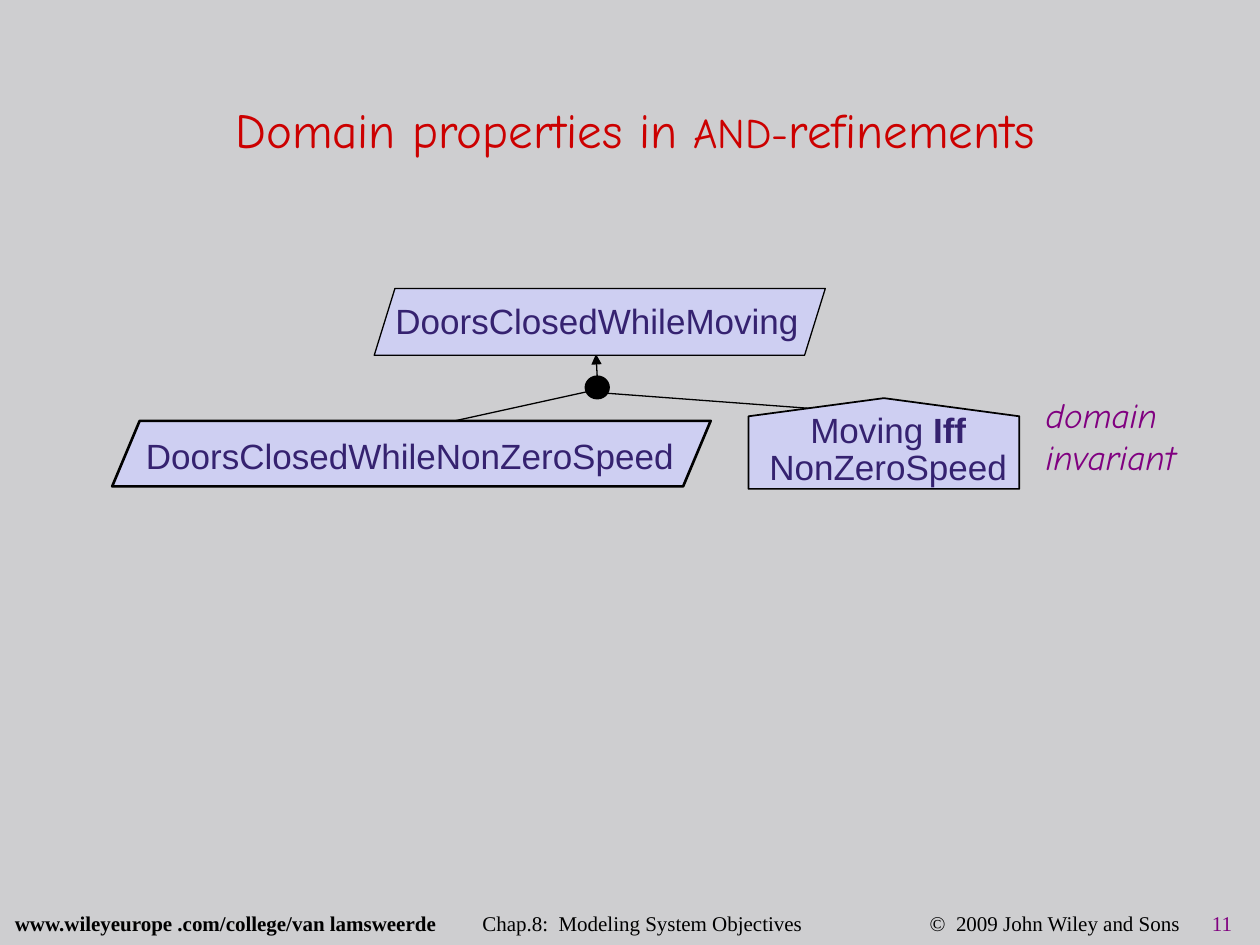
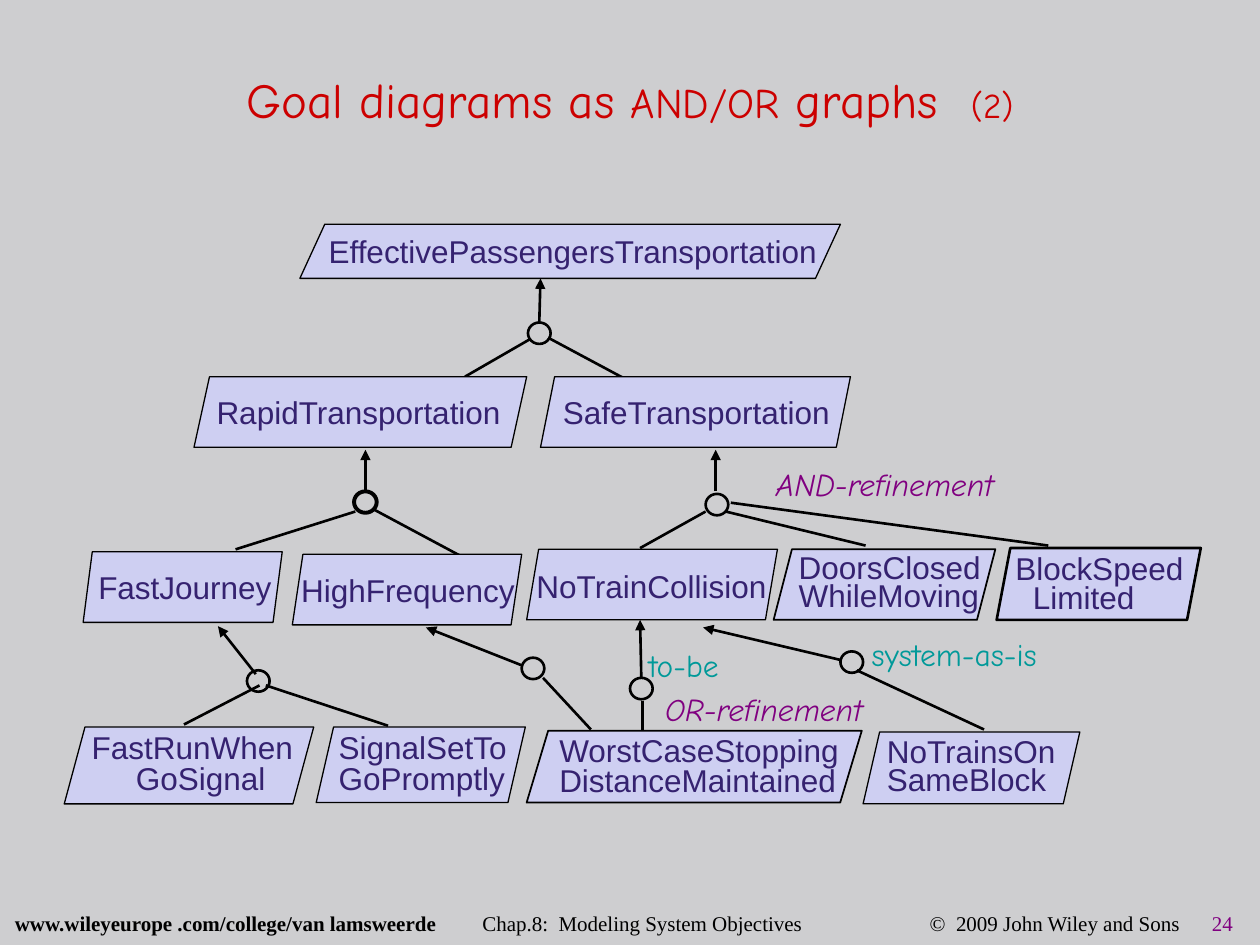
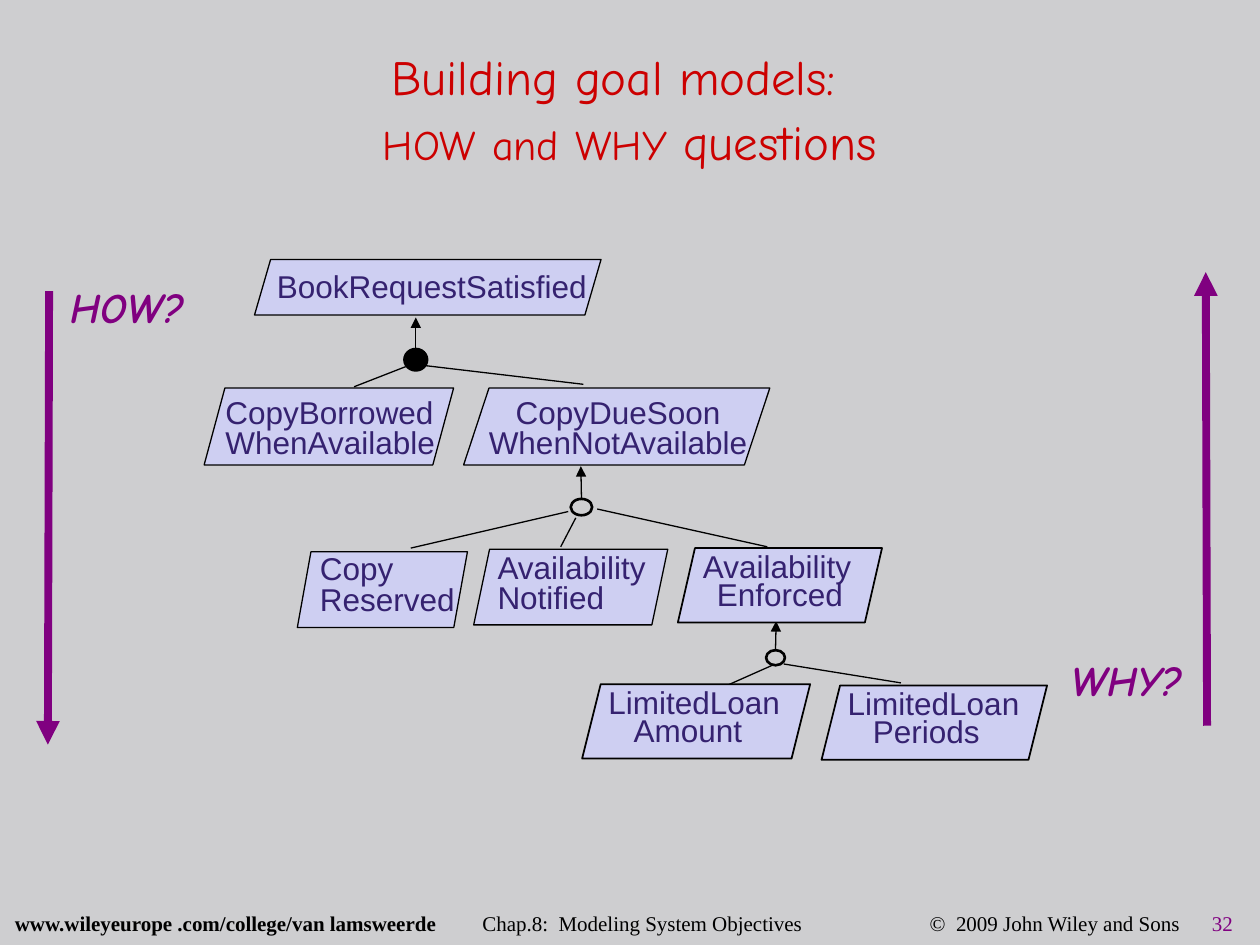
from dataclasses import dataclass
from typing import NamedTuple, Optional, Sequence, Union

from lxml.etree import SubElement
from pptx import Presentation
from pptx.dml.color import RGBColor
from pptx.enum.shapes import MSO_CONNECTOR, MSO_SHAPE
from pptx.enum.text import MSO_ANCHOR, MSO_AUTO_SIZE, PP_ALIGN
from pptx.oxml.ns import qn
from pptx.util import Pt

EMU_PER_PX = 9144  # 100 px to the inch


def px(length: int) -> int:
    return length * EMU_PER_PX


@dataclass(frozen=True)
class Theme:
    background: str = "CECED0"
    ink: str = "000000"
    title: str = "CC0000"
    goal_fill: str = "CECFF2"
    goal_text: str = "352270"
    accent: str = "800080"
    system: str = "009999"
    title_font: str = "Comic Neue"
    goal_font: str = "Arial"
    footer_font: str = "Times New Roman"
    title_size: int = 28
    small_title_size: int = 24
    tiny_title_size: int = 20
    large_size: int = 20
    goal_size: int = 18
    question_size: int = 24
    footer_size: int = 12


THEME = Theme()


class Point(NamedTuple):
    x: int
    y: int


class Box(NamedTuple):
    left: int
    top: int
    width: int
    height: int

    def emu(self) -> list[int]:
        return [px(length) for length in self]


class Run(NamedTuple):
    text: str
    size: Optional[int] = None
    bold: Optional[bool] = None
    color: Optional[str] = None


@dataclass(frozen=True)
class Line:
    """One paragraph; what is left as None follows the whole text."""
    runs: Union[str, Sequence[Run]]
    spacing: Optional[float] = None
    align: Optional[PP_ALIGN] = None
    indent: int = 0
    tabs: Sequence[int] = ()


Lines = Sequence[Union[str, Line]]


@dataclass(frozen=True)
class Goal:
    box: Box
    slant: float
    label: Box
    lines: Lines
    spacing: float = 1.0
    border: float = 0.75
    align: PP_ALIGN = PP_ALIGN.LEFT
    side_inset: int = 10
    size: int = THEME.goal_size
    domain_property: bool = False


@dataclass(frozen=True)
class Refinement:
    """A circle with an arrow to the parent goal and lines to the subgoals."""
    circle: Box
    parent: Point
    branches: Sequence[tuple[Point, Point]]
    arrow_start: Optional[Point] = None  # None: top of the circle
    complete: bool = False
    border: float = 1.5


@dataclass(frozen=True)
class Note:
    box: Box
    lines: Lines
    color: str = THEME.accent
    size: int = THEME.goal_size
    bold: bool = False
    italic: bool = True
    align: PP_ALIGN = PP_ALIGN.LEFT
    spacing: float = 1.0


class Direction(NamedTuple):
    start: Point
    end: Point


@dataclass(frozen=True)
class Page:
    number: int
    title_box: Box
    title: Line
    goals: Sequence[Goal]
    refinements: Sequence[Refinement]
    notes: Sequence[Note]
    line_width: float
    directions: Sequence[Direction] = ()


def write(frame, lines: Lines, *, font: str, size: int, color: str,
          bold: bool = False, italic: bool = False,
          align: PP_ALIGN = PP_ALIGN.LEFT, spacing: float = 1.0) -> None:
    frame.word_wrap = True
    for index, entry in enumerate(lines):
        line = entry if isinstance(entry, Line) else Line(entry)
        paragraph = frame.paragraphs[0] if index == 0 else frame.add_paragraph()
        paragraph.alignment = line.align or align
        paragraph.line_spacing = line.spacing or spacing
        properties = paragraph._p.get_or_add_pPr()
        if line.indent:
            properties.set("marL", str(px(line.indent)))
        if line.tabs:
            stops = SubElement(properties, qn("a:tabLst"))
            for stop in line.tabs:
                SubElement(stops, qn("a:tab"), pos=str(px(stop)), algn="l")
        runs = [Run(line.runs)] if isinstance(line.runs, str) else line.runs
        for part in runs:
            if part.text == "\n":
                paragraph.add_line_break()
                continue
            run = paragraph.add_run()
            run.text = part.text
            run.font.name = font
            run.font.size = Pt(part.size or size)
            run.font.bold = bold if part.bold is None else part.bold
            run.font.italic = italic
            run.font.color.rgb = RGBColor.from_string(part.color or color)


def add_text(slide, box: Box, lines: Lines, *, side_inset: int = 10, **style) -> None:
    frame = slide.shapes.add_textbox(*box.emu()).text_frame
    frame.margin_left = frame.margin_right = px(side_inset)
    frame.margin_top = frame.margin_bottom = px(5)
    write(frame, lines, **style)


def add_outlined(slide, preset: MSO_SHAPE, box: Box, fill: Optional[str], border: float):
    shape = slide.shapes.add_shape(preset, *box.emu())
    shape.shadow.inherit = False
    if fill:
        shape.fill.solid()
        shape.fill.fore_color.rgb = RGBColor.from_string(fill)
    else:
        shape.fill.background()
    shape.line.color.rgb = RGBColor.from_string(THEME.ink)
    shape.line.width = Pt(border)
    return shape


def add_line(slide, start: Point, end: Point, *, width: float,
             color: str = THEME.ink, arrow: bool = False):
    connector = slide.shapes.add_connector(
        MSO_CONNECTOR.STRAIGHT, *map(px, start), *map(px, end))
    connector.line.color.rgb = RGBColor.from_string(color)
    connector.line.width = Pt(width)
    if arrow:
        SubElement(connector.line._get_or_add_ln(), qn("a:tailEnd"), type="triangle")
    SubElement(connector._element.spPr, qn("a:effectLst"))
    return connector


def add_refinement(slide, refinement: Refinement, line_width: float) -> None:
    box = refinement.circle
    circle = add_outlined(slide, MSO_SHAPE.OVAL, box,
                          THEME.ink if refinement.complete else None, refinement.border)
    start = refinement.arrow_start or Point(box.left + box.width // 2, box.top)
    arrow = add_line(slide, start, refinement.parent, width=line_width, arrow=True)
    if refinement.arrow_start is None:
        arrow.begin_connect(circle, 0)
    for near, far in refinement.branches:
        add_line(slide, near, far, width=line_width)


def add_goal(slide, goal: Goal) -> None:
    preset = (MSO_SHAPE.FLOWCHART_OFFPAGE_CONNECTOR if goal.domain_property
              else MSO_SHAPE.PARALLELOGRAM)
    shape = add_outlined(slide, preset, goal.box, THEME.goal_fill, goal.border)
    if goal.domain_property:
        shape.rotation = 180
    else:
        shape.adjustments[0] = goal.slant
    add_text(slide, goal.label, goal.lines, side_inset=goal.side_inset,
             font=THEME.goal_font, size=goal.size, color=THEME.goal_text,
             align=goal.align, spacing=goal.spacing)


def add_title(slide, box: Box, title: Line) -> None:
    holder = slide.shapes.title
    holder.left, holder.top, holder.width, holder.height = box.emu()
    frame = holder.text_frame
    frame.auto_size = MSO_AUTO_SIZE.NONE
    frame.vertical_anchor = MSO_ANCHOR.MIDDLE
    write(frame, [title], font=THEME.title_font, size=THEME.title_size,
          color=THEME.title, align=PP_ALIGN.CENTER)


def add_footer(slide, number: int) -> None:
    footer = Line([
        Run("www.wileyeurope .com/college/van lamsweerde", bold=True),
        Run("\tChap.8:  Modeling System Objectives\t©  2009 John Wiley and Sons\t"),
        Run(str(number), color=THEME.accent),
    ], tabs=(371, 726, 950))
    add_text(slide, Box(2, 723, 997, 24), [footer], font=THEME.footer_font,
             size=THEME.footer_size, color=THEME.ink, spacing=0.7)


def add_page(deck, page: Page) -> None:
    slide = deck.slides.add_slide(deck.slide_layouts[5])
    add_footer(slide, page.number)
    add_title(slide, page.title_box, page.title)
    for refinement in page.refinements:
        add_refinement(slide, refinement, page.line_width)
    for goal in page.goals:
        add_goal(slide, goal)
    for direction in page.directions:
        add_line(slide, *direction, width=4.5, color=THEME.accent, arrow=True)
    for note in page.notes:
        add_text(slide, note.box, note.lines, font=THEME.title_font, size=note.size,
                 color=note.color, bold=note.bold, italic=note.italic,
                 align=note.align, spacing=note.spacing)


def branch(x1: int, y1: int, x2: int, y2: int) -> tuple[Point, Point]:
    return Point(x1, y1), Point(x2, y2)


def question(box: Box, text: str) -> Note:
    return Note(box, [text], size=THEME.question_size, bold=True,
                align=PP_ALIGN.CENTER, spacing=0.8)


SMALL = THEME.small_title_size

DOMAIN_PROPERTIES = Page(
    number=11,
    title_box=Box(38, 58, 932, 89),
    title=Line([Run("Domain properties in "), Run("AND-", SMALL), Run("refinements")]),
    line_width=0.75,
    refinements=[
        Refinement(Box(465, 299, 18, 17), Point(473, 281),
                   [branch(470, 310, 361, 334), branch(480, 312, 695, 328)],
                   complete=True),
    ],
    goals=[
        Goal(Box(297, 229, 358, 53), 0.31, Box(304, 233, 345, 42),
             ["DoorsClosedWhileMoving"], size=THEME.large_size),
        Goal(Box(594, 316, 215, 72), 0, Box(583, 326, 244, 59),
             [Line([Run("Moving "), Run("Iff", bold=True)], spacing=0.8), "NonZeroSpeed"],
             spacing=0.9, border=1, align=PP_ALIGN.CENTER, size=THEME.large_size,
             domain_property=True),
        Goal(Box(89, 334, 475, 52), 0.42, Box(106, 340, 447, 35),
             ["DoorsClosedWhileNonZeroSpeed"], border=1.5, size=THEME.large_size),
    ],
    notes=[Note(Box(820, 307, 157, 74), ["domain", "invariant"], size=THEME.large_size)],
)

AND_OR_GRAPHS = Page(
    number=24,
    title_box=Box(19, 34, 962, 89),
    title=Line([Run("Goal diagrams as "), Run("AND/OR", SMALL), Run(" graphs  "),
                Run("(2)", THEME.tiny_title_size)]),
    line_width=1.5,
    refinements=[
        Refinement(Box(419, 256, 18, 17), Point(429, 221),
                   [branch(435, 268, 506, 306), branch(421, 269, 369, 299)]),
        Refinement(Box(281, 390, 18, 17), Point(290, 357),
                   [branch(296, 404, 367, 442), branch(282, 406, 187, 436)], border=2.25),
        Refinement(Box(560, 392, 18, 17), Point(568, 357),
                   [branch(576, 406, 687, 433), branch(560, 406, 508, 435),
                    branch(580, 399, 832, 433)], arrow_start=Point(568, 390)),
        Refinement(Box(196, 532, 18, 17), Point(173, 497),
                   [branch(211, 544, 308, 576), branch(206, 544, 146, 575)],
                   arrow_start=Point(203, 535)),
        Refinement(Box(414, 522, 18, 17), Point(338, 498),
                   [branch(431, 538, 469, 579)], arrow_start=Point(414, 528)),
        Refinement(Box(500, 538, 18, 17), Point(508, 492), [branch(510, 556, 510, 604)]),
        Refinement(Box(667, 517, 18, 17), Point(558, 498),
                   [branch(680, 532, 781, 579)], arrow_start=Point(668, 524)),
    ],
    goals=[
        Goal(Box(238, 178, 429, 43), 0.46, Box(251, 185, 414, 31),
             ["EffectivePassengersTransportation"], 0.8),
        Goal(Box(154, 299, 264, 56), 0.22, Box(162, 307, 255, 40), ["RapidTransportation"]),
        Goal(Box(429, 299, 246, 56), 0.2, Box(437, 307, 237, 40), ["SafeTransportation"]),
        Goal(Box(66, 438, 158, 56), 0.13, Box(72, 446, 155, 40), ["FastJourney"],
             side_inset=6),
        Goal(Box(232, 440, 182, 56), 0.15, Box(239, 448, 179, 40), ["HighFrequency"],
             side_inset=0),
        Goal(Box(418, 436, 199, 56), 0.17, Box(416, 445, 213, 40), ["NoTrainCollision"]),
        Goal(Box(614, 436, 176, 56), 0.26, Box(624, 437, 166, 56),
             ["DoorsClosed", "WhileMoving"], 0.75, border=1),
        Goal(Box(791, 435, 162, 57), 0.19, Box(796, 438, 157, 56),
             ["BlockSpeed", Line("Limited", indent=14)], 0.75, border=1.5),
        Goal(Box(51, 577, 198, 61), 0.27, Box(63, 579, 187, 57),
             ["FastRunWhen", Line("GoSignal", indent=35)], 0.8),
        Goal(Box(251, 577, 166, 60), 0.23, Box(259, 579, 156, 56),
             ["SignalSetTo", "GoPromptly"], 0.8),
        Goal(Box(418, 580, 266, 57), 0.3, Box(434, 581, 251, 53),
             ["WorstCaseStopping", "DistanceMaintained"], 0.8, border=1),
        Goal(Box(685, 581, 172, 57), 0.23, Box(694, 583, 162, 52),
             ["NoTrainsOn", "SameBlock"], 0.75),
    ],
    notes=[
        Note(Box(682, 499, 234, 41), ["system-as-is"], color=THEME.system, italic=False),
        Note(Box(505, 508, 97, 36), ["to-be"], color=THEME.system, italic=False),
        Note(Box(606, 364, 280, 40), ["AND-refinement"]),
        Note(Box(518, 543, 236, 40), ["OR-refinement"]),
    ],
)

HOW_AND_WHY = Page(
    number=32,
    title_box=Box(19, 39, 962, 89),
    title=Line([Run("Building goal models:  "), Run("\n"), Run("HOW", SMALL), Run(" "),
                Run("and", SMALL), Run(" "), Run("WHY", SMALL), Run(" questions")],
               spacing=1.1),
    line_width=0.75,
    refinements=[
        Refinement(Box(321, 277, 18, 17), Point(330, 252),
                   [branch(336, 290, 463, 305), branch(322, 291, 281, 307)],
                   complete=True),
        Refinement(Box(453, 396, 17, 13), Point(461, 370),
                   [branch(474, 404, 609, 434), branch(457, 411, 445, 434),
                    branch(451, 406, 326, 435)]),
        Refinement(Box(608, 516, 15, 12), Point(616, 493),
                   [branch(613, 528, 577, 544), branch(622, 527, 715, 542)]),
    ],
    goals=[
        Goal(Box(202, 206, 275, 44), 0.29, Box(210, 207, 267, 39), ["BookRequestSatisfied"]),
        Goal(Box(162, 308, 198, 61), 0.27, Box(169, 313, 187, 57),
             ["CopyBorrowed", "WhenAvailable"], 0.8),
        Goal(Box(368, 308, 243, 61), 0.33, Box(376, 313, 229, 57),
             ["CopyDueSoon", "WhenNotAvailable"], 0.8, align=PP_ALIGN.CENTER),
        Goal(Box(236, 438, 135, 60), 0.18, Box(244, 437, 127, 56),
             ["Copy", "Reserved"], 0.8),
        Goal(Box(376, 436, 154, 60), 0.21, Box(385, 436, 145, 56),
             ["Availability", "Notified"], 0.8),
        Goal(Box(538, 435, 162, 59), 0.23, Box(548, 436, 142, 56),
             ["Availability", Line("Enforced", align=PP_ALIGN.CENTER)], 0.75, border=1),
        Goal(Box(462, 543, 181, 59), 0.25, Box(473, 544, 158, 56),
             ["LimitedLoan", Line("Amount", indent=20)], 0.75, border=1),
        Goal(Box(652, 544, 179, 59), 0.25, Box(663, 545, 157, 56),
             ["LimitedLoan", Line("Periods", indent=20)], 0.75, border=1),
    ],
    notes=[question(Box(28, 226, 146, 40), "HOW?"),
           question(Box(829, 522, 131, 40), "WHY?")],
    directions=[Direction(Point(39, 231), Point(38, 591)),
                Direction(Point(958, 576), Point(957, 216))],
)


def main() -> None:
    deck = Presentation()
    deck.slide_width, deck.slide_height = px(1000), px(750)
    backdrop = deck.slide_master.background.fill
    backdrop.solid()
    backdrop.fore_color.rgb = RGBColor.from_string(THEME.background)
    for page in (DOMAIN_PROPERTIES, AND_OR_GRAPHS, HOW_AND_WHY):
        add_page(deck, page)
    deck.save("out.pptx")


if __name__ == "__main__":
    main()
